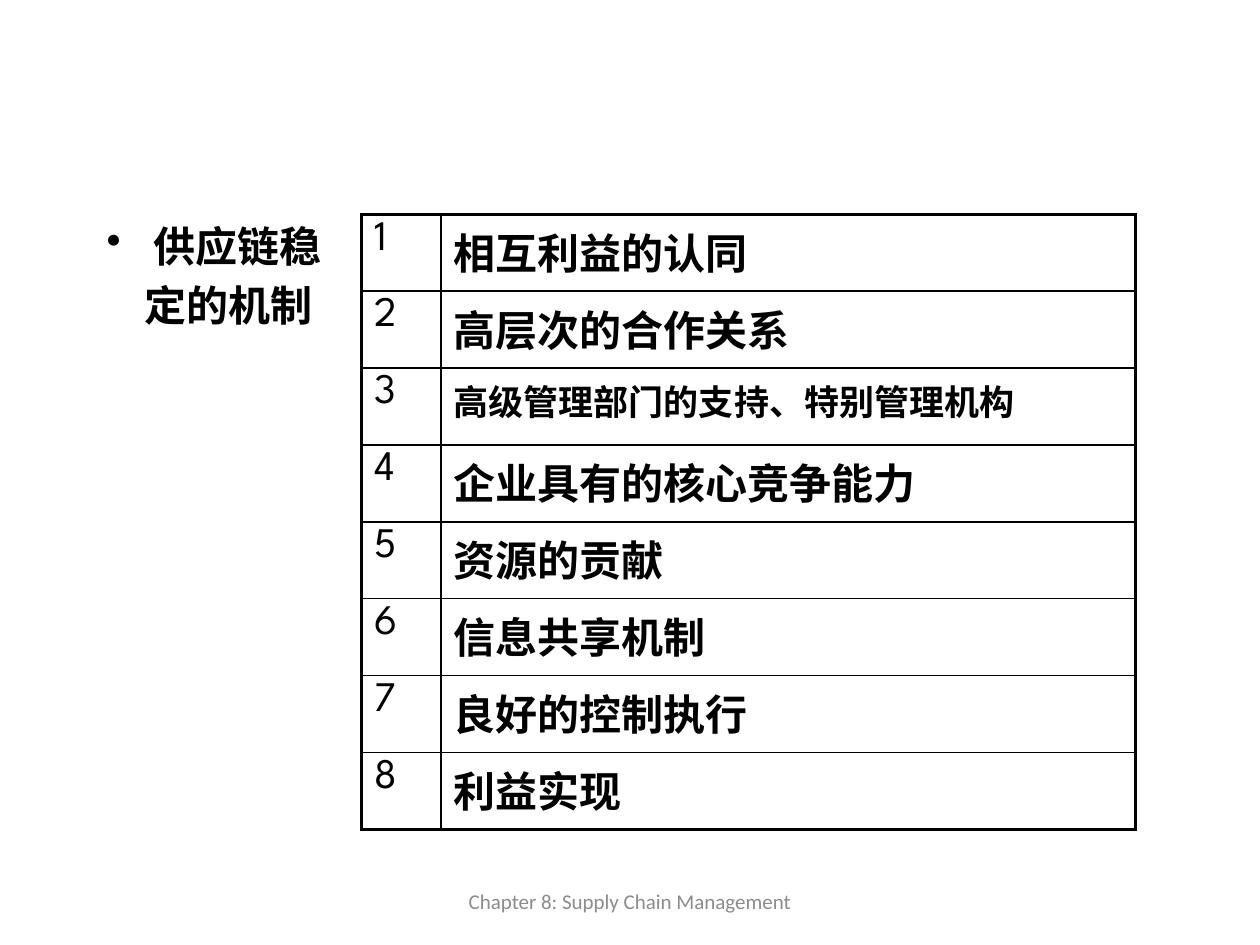
"""Build a slide listing the eight mechanisms of supply chain stability."""
import pptx
import pptx.dml.color
import pptx.enum.text
import pptx.oxml
import pptx.oxml.ns
import pptx.util
from pptx.util import Cm

BLACK = pptx.dml.color.RGBColor(0, 0, 0)
GRAY = pptx.dml.color.RGBColor(0x8C, 0x8C, 0x8C)
NS = pptx.oxml.ns.nsdecls("a")
MECHANISMS = [
    "相互利益的认同",
    "高层次的合作关系",
    "高级管理部门的支持、特别管理机构",
    "企业具有的核心竞争能力",
    "资源的贡献",
    "信息共享机制",
    "良好的控制执行",
    "利益实现",
]
ROW_HEIGHT = Cm(1.55)
COLUMN_WIDTHS = [Cm(1.6), Cm(14)]
TOP = Cm(4.32)


def write(paragraph, text, name, size, color=BLACK, bold=False):
    paragraph.text = text
    font_values = {"name": name, "size": pptx.util.Pt(size), "bold": bold}
    for key, value in font_values.items():
        setattr(paragraph.font, key, value)
    paragraph.font.color.rgb = color


def add_border(cell, side, points):
    cell._tc.get_or_add_tcPr().append(pptx.oxml.parse_xml(
        f'<a:{side} {NS} w="{pptx.util.Pt(points)}"><a:solidFill>'
        f'<a:srgbClr val="{BLACK}"/></a:solidFill></a:{side}>'))


presentation = pptx.Presentation()
presentation.slide_width = Cm(25.4)
presentation.slide_height = Cm(19.05)
slide = presentation.slides.add_slide(presentation.slide_layouts[6])

footer = slide.shapes.add_textbox(Cm(8.68), Cm(17.65), Cm(8.04), Cm(1.02)).text_frame
footer.word_wrap = True
footer.vertical_anchor = pptx.enum.text.MSO_ANCHOR.MIDDLE
footer.paragraphs[0].alignment = pptx.enum.text.PP_ALIGN.CENTER
write(footer.paragraphs[0], "Chapter 8: Supply Chain Management", "Calibri", 12, GRAY)

topic = slide.shapes.add_textbox(Cm(1.9), TOP, Cm(10.6), Cm(12.4)).text_frame
topic.word_wrap = True
bulleted, continued = topic.paragraphs[0], topic.add_paragraph()
for key, value in {"marL": Cm(0.95), "indent": Cm(-0.95)}.items():
    bulleted._p.get_or_add_pPr().set(key, str(value))
bulleted._p.get_or_add_pPr().append(pptx.oxml.parse_xml(f'<a:buChar {NS} char="•"/>'))
continued._p.get_or_add_pPr().set("marL", str(Cm(0.77)))
continued.space_before = pptx.util.Pt(4.8)
write(bulleted, "供应链稳", "Calibri", 24, bold=True)
write(continued, "定的机制", "Calibri", 24, bold=True)

table = slide.shapes.add_table(
    len(MECHANISMS), 2, Cm(7.29), TOP,
    sum(COLUMN_WIDTHS), ROW_HEIGHT * len(MECHANISMS)).table
for flag in ("first_row", "horz_banding"):
    setattr(table, flag, False)
for column, width in zip(table.columns, COLUMN_WIDTHS):
    column.width = width

last = len(MECHANISMS) - 1
for row, mechanism in enumerate(MECHANISMS):
    table.rows[row].height = ROW_HEIGHT
    for column, text in enumerate([str(row + 1), mechanism]):
        cell = table.cell(row, column)
        size = 20 if len(text) > 12 else 24
        write(cell.text_frame.paragraphs[0], text, "League Spartan", size, bold=column == 1)
        outer_sides = {"lnL": column == 0, "lnR": column == 1,
                       "lnT": row == 0, "lnB": row == last}
        for side, is_outer in outer_sides.items():
            add_border(cell, side, 2.25 if is_outer else 1)
        cell.fill.background()

presentation.save("out.pptx")
